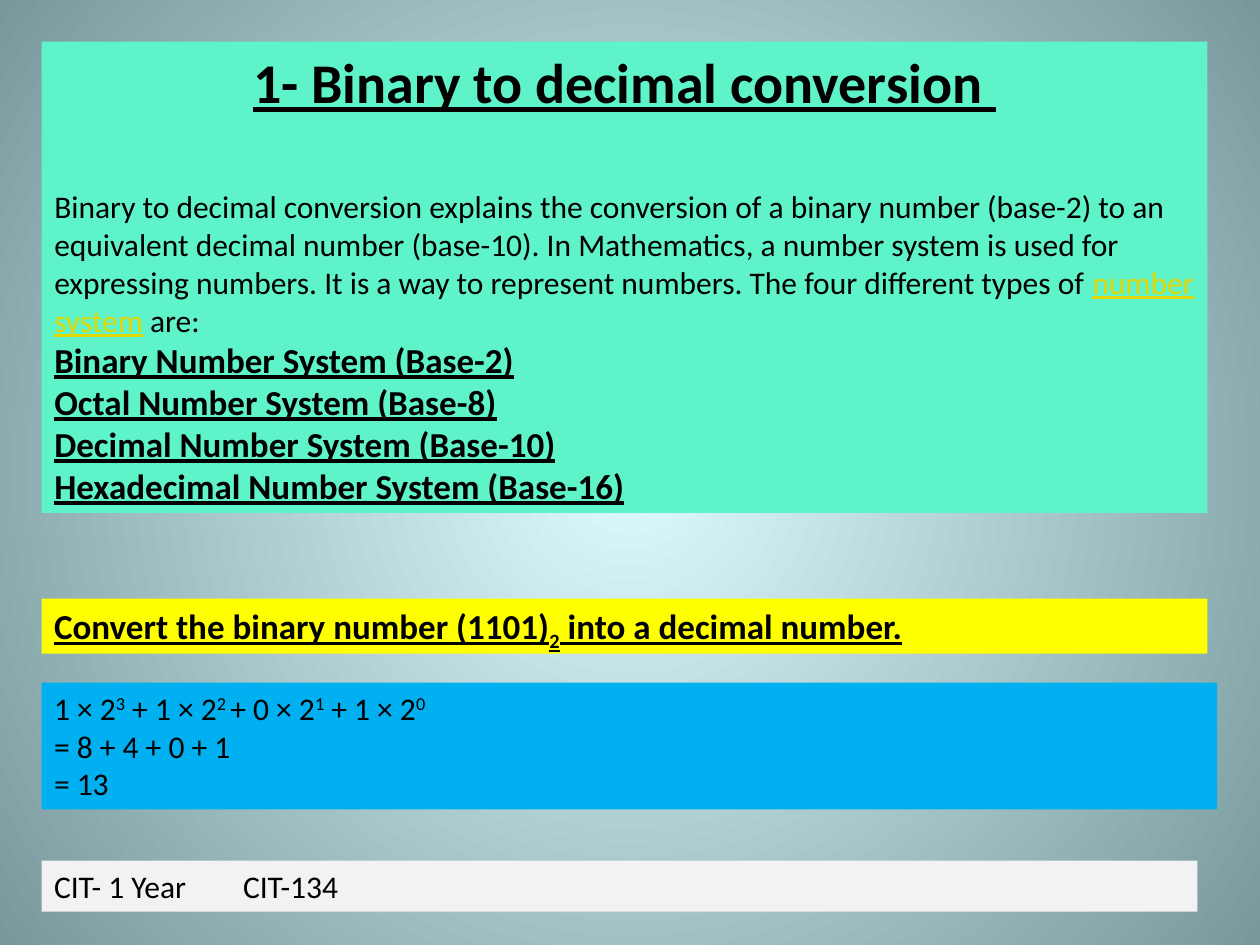
"""Build a slide on converting binary numbers to decimal."""
from dataclasses import dataclass

from pptx import Presentation
from pptx.dml.color import RGBColor as Rgb
from pptx.enum.text import MSO_ANCHOR as Anchor, MSO_AUTO_SIZE as Fit, PP_ALIGN as Align
from pptx.oxml import parse_xml
from pptx.oxml.ns import nsdecls, qn
from pptx.shapes.base import BaseShape as Shape
from pptx.slide import Slide
from pptx.util import Cm, Pt

HUES = {
    "ink": "000000", "link": "E2D700", "mint": "5FF3CA", "sun": "FFFF00",
    "sky": "00B0F0", "mist": "F2F2F2", "glow": "DEFBFF", "edge": "79989C",
}
LEFT = 0.84
WIDE = 23.5
RAISE, DROP = 30, -25


@dataclass
class Run:
    text: str
    hue: str = "ink"
    line: bool = False
    shift: int = 0


@dataclass
class Line:
    runs: list[Run]
    size: int = 18
    bold: bool = False


@dataclass
class Band:
    top: float
    wide: float
    high: float
    hue: str
    lines: list[Line]
    tab: float = 0


def tint(key: str) -> Rgb:
    return Rgb.from_string(HUES[key])


def head(*runs: Run, size: int = 20) -> Line:
    for run in runs:
        run.line = True
    return Line(list(runs), size, True)


def plain(*texts: str) -> Line:
    return Line([Run(text, shift=RAISE * (i % 2)) for i, text in enumerate(texts)])


def write(shape: Shape, lines: list[Line], *, align: Align = Align.LEFT,
          anchor: Anchor = Anchor.TOP, tab: float = 0) -> None:
    frame = shape.text_frame
    frame.word_wrap = True
    frame.auto_size = Fit.NONE
    frame.vertical_anchor = anchor
    for i, line in enumerate(lines):
        para = frame.add_paragraph() if i else frame.paragraphs[0]
        para.alignment = align
        para.space_before = Pt(0)
        props = para._p.get_or_add_pPr()
        props.set("marL", "0")
        props.set("indent", "0")
        props.append(parse_xml(f"<a:buNone {nsdecls('a')}/>"))
        if tab:
            props.append(parse_xml(
                f'<a:tabLst {nsdecls("a")}><a:tab pos="{Cm(tab)}" algn="l"/></a:tabLst>'))
        for part in line.runs:
            run = para.add_run()
            run.text = part.text
            font = run.font
            font.name, font.size, font.bold = "Calibri", Pt(line.size), line.bold
            font.underline = part.line
            font.color.rgb = tint(part.hue)
            if part.shift:
                run._r.get_or_add_rPr().set("baseline", str(part.shift * 1000))


def place(shape: Shape, top: float, high: float) -> None:
    shape.left, shape.top = Cm(LEFT), Cm(top)
    shape.width, shape.height = Cm(WIDE), Cm(high)


def paint(shape: Shape, key: str) -> None:
    shape.fill.solid()
    shape.fill.fore_color.rgb = tint(key)


def shade(slide: Slide) -> None:
    fill = slide.background.fill
    fill.gradient()
    for stop, key in zip(fill.gradient_stops, ("glow", "edge")):
        stop.color.rgb = tint(key)
    old = next(slide.element.iter(qn("a:lin")))
    old.getparent().replace(old, parse_xml(
        f'<a:path {nsdecls("a")} path="circle">'
        '<a:fillToRect l="50000" t="50000" r="50000" b="50000"/></a:path>'))


def draw(slide: Slide, band: Band) -> None:
    box = slide.shapes.add_textbox(Cm(LEFT), Cm(band.top), Cm(band.wide), Cm(band.high))
    paint(box, band.hue)
    write(box, band.lines, tab=band.tab)


INTRO = Line([
    Run("Binary to decimal conversion explains the conversion of a binary number (base-2) "
        "to an equivalent decimal number (base-10). In Mathematics, a number system is used "
        "for expressing numbers. It is a way to represent numbers. The four different types of "),
    Run("number system", "link", True),
    Run(" are:"),
])
BASES = {"Binary": 2, "Octal": 8, "Decimal": 10, "Hexadecimal": 16}
BANDS = [
    Band(12.07, WIDE, 1.11, "sun", [head(
        Run("Convert the binary number (1101)"), Run("2", shift=DROP),
        Run(" into a decimal number."))]),
    Band(13.76, 23.7, 2.56, "sky", [
        plain("1 × 2", "3", " + 1 × 2", "2 ", "+ 0 × 2", "1", " + 1 × 2", "0"),
        plain("= 8 + 4 + 0 + 1"),
        plain("= 13")]),
    Band(17.35, 23.3, 1.03, "mist", [plain("CIT- 1 Year\tCIT-134")], tab=16.7),
]


def main() -> None:
    deck = Presentation()
    deck.slide_width, deck.slide_height = Cm(25.4), Cm(19.05)
    slide = deck.slides.add_slide(deck.slide_layouts[1])
    shade(slide)
    title, body = slide.placeholders
    place(title, LEFT, 9.5)
    paint(title, "mint")
    write(title, [head(Run("1- Binary to decimal conversion "), size=32)], align=Align.CENTER)
    place(body, 3.54, 6.8)
    names = [head(Run(f"{name} Number System (Base-{base})")) for name, base in BASES.items()]
    write(body, [INTRO, *names], anchor=Anchor.BOTTOM)
    for band in BANDS:
        draw(slide, band)
    deck.save("out.pptx")


if __name__ == "__main__":
    main()
